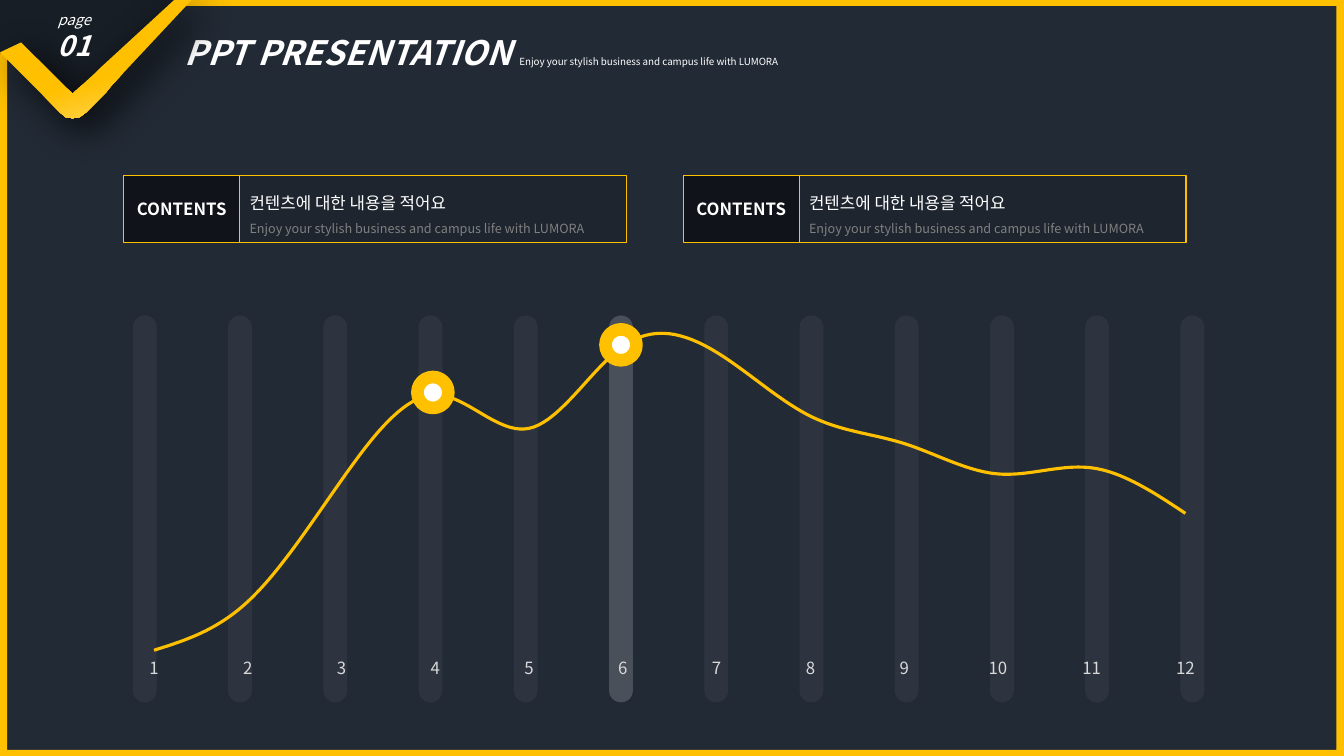
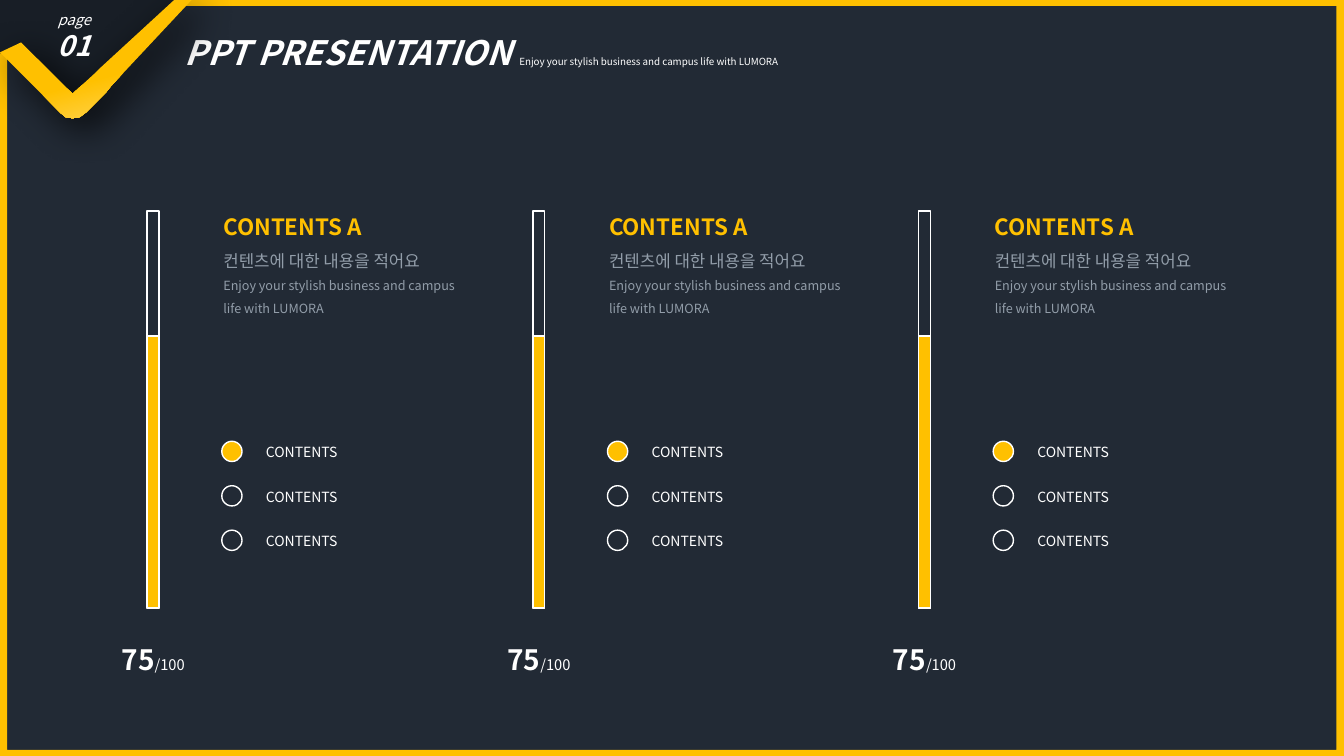
from dataclasses import dataclass

from lxml import etree
from pptx import Presentation
from pptx.chart.data import CategoryChartData
from pptx.dml.color import RGBColor
from pptx.enum.chart import XL_CHART_TYPE, XL_MARKER_STYLE, XL_TICK_MARK
from pptx.enum.shapes import MSO_SHAPE
from pptx.enum.text import MSO_ANCHOR, MSO_AUTO_SIZE, PP_ALIGN
from pptx.oxml import parse_xml
from pptx.oxml.ns import nsdecls, qn
from pptx.util import Cm, Pt

RECT, OVAL, PILL = MSO_SHAPE.RECTANGLE, MSO_SHAPE.OVAL, MSO_SHAPE.ROUNDED_RECTANGLE
LEFT, CENTER = PP_ALIGN.LEFT, PP_ALIGN.CENTER
MIDDLE, NO_FIT = MSO_ANCHOR.MIDDLE, MSO_AUTO_SIZE.NONE
LINE_CHART, NO_MARKER = XL_CHART_TYPE.LINE, XL_MARKER_STYLE.NONE
NO_TICK = XL_TICK_MARK.NONE


@dataclass(frozen=True)
class Theme:
    font: str = "Noto Sans CJK KR"
    back: str = "222A35"
    tab: str = "181E26"
    accent: str = "FFC000"
    light_accent: str = "FFD966"
    white: str = "FFFFFF"
    black: str = "000000"
    axis: str = "D9D9D9"
    muted: str = "808080"
    soft: str = "929DA9"
    title: float = 24
    number: float = 20
    heading: float = 16
    body: float = 12
    small: float = 10.5
    label: float = 10
    caption: float = 9
    tiny: float = 7


T = Theme()
TAGLINE = "Enjoy your stylish business and campus life with LUMORA"
KOREAN = "컨텐츠에 대한 내용을 적어요"
MONTHS = range(1, 13)
VALUES = (0, 16, 56, 84, 73, 100, 98, 77, 68, 58, 60, 45)
HIGHLIGHT = 6

# Outlines in cm
TAB = [(0, 0), (0, 1.37), (0.38, 1.24), (1.47, 2.51), (2.03, 2.59), (3.38, 1.14), (4.57, 0)]
FRAME = [(4.72, 0), (33.87, 0), (33.87, 19.05), (0, 19.05), (0, 1.35), (0.18, 1.3),
         (0.18, 18.9), (33.68, 18.9), (33.68, 0.15), (4.57, 0.15)]
RIBBON = [(4.83, 0), (2.79, 2.18), (2.69, 2.31), (2.16, 2.84), (2.01, 2.95), (1.83, 2.98),
          (1.65, 2.95), (1.52, 2.84), (0, 1.32), (0.53, 1.07), (1.5, 2.03), (1.83, 2.36),
          (2.41, 1.83), (2.54, 1.7), (4.39, 0)]


# Text
def style_font(font, size, color=T.white, **fmt):
    font.color.rgb = RGBColor.from_string(color)
    for name, value in {"name": T.font, "size": Pt(size), **fmt}.items():
        setattr(font, name, value)


def write(tf, paragraphs, align=LEFT, spacing=1.0, wrap=True):
    """Each paragraph is a list of (text, format) runs."""
    frame = {"word_wrap": wrap, "vertical_anchor": MIDDLE, "auto_size": NO_FIT}
    for name, value in frame.items():
        setattr(tf, name, value)
    for i, runs in enumerate(paragraphs):
        p = tf.add_paragraph() if i else tf.paragraphs[0]
        p.alignment, p.line_spacing = align, spacing
        for text, fmt in runs:
            r = p.add_run()
            r.text = text
            style_font(r.font, **fmt)
            latin = r.font._element.find(qn("a:latin"))
            latin.addnext(parse_xml(f'<a:ea {nsdecls("a")} typeface="{T.font}"/>'))


def add_text(slide, box, paragraphs, **layout):
    s = slide.shapes.add_textbox(*map(Cm, box))
    write(s.text_frame, paragraphs, **layout)


# Shapes
def paint(s, fill=None, alpha=None, line=None, width=1):
    s.shadow.inherit = False
    if fill:
        s.fill.solid()
        s.fill.fore_color.rgb = RGBColor.from_string(fill)
        if alpha is not None:
            color = s._element.spPr.find(qn("a:solidFill"))[0]
            etree.SubElement(color, qn("a:alpha")).set("val", str(alpha * 1000))
    else:
        s.fill.background()
    if line:
        s.line.color.rgb = RGBColor.from_string(line)
        s.line.width = Pt(width)
    else:
        s.line.fill.background()


def add_shape(slide, kind, box, **look):
    s = slide.shapes.add_shape(kind, *map(Cm, box))
    paint(s, **look)
    return s


def add_outline(slide, points, fill):
    start, *rest = [(Cm(x), Cm(y)) for x, y in points]
    builder = slide.shapes.build_freeform(*start)
    builder.add_line_segments(rest, close=True)
    s = builder.convert_to_shape()
    paint(s, fill)
    return s


# Shared frame and title
def add_ribbon(slide):
    s = add_outline(slide, RIBBON, T.accent)
    s.fill.gradient()
    s.fill.gradient_angle = 285
    stops = ((0.62, T.accent), (1, T.light_accent))
    for stop, (position, color) in zip(s.fill.gradient_stops, stops):
        stop.position = position
        stop.color.rgb = RGBColor.from_string(color)
    s._element.spPr.find(qn("a:effectLst")).append(parse_xml(
        f'<a:outerShdw {nsdecls("a")} blurRad="{Pt(29)}" dist="{Pt(11)}" '
        f'dir="{41 * 60000}" algn="tl" rotWithShape="0">'
        f'<a:srgbClr val="{T.black}"><a:alpha val="90000"/></a:srgbClr></a:outerShdw>'))


def add_page(prs):
    slide = prs.slides.add_slide(prs.slide_layouts[5])
    add_outline(slide, TAB, T.tab)
    add_outline(slide, FRAME, T.accent)
    add_ribbon(slide)
    title = slide.shapes.title
    title.left, title.top, title.width, title.height = map(Cm, (4.4, 0.66, 21.13, 1.28))
    write(title.text_frame, [[
        ("PPT PRESENTATION ", dict(size=T.title, bold=True, italic=True)),
        (TAGLINE, dict(size=T.tiny))]])
    add_text(slide, (0.69, 0.15, 2.36, 1.55), [
        [("page", dict(size=T.small, italic=True))],
        [("01", dict(size=T.number, bold=True, italic=True))]], align=CENTER)
    return slide


# Line chart slide
def add_line_chart(slide):
    data = CategoryChartData()
    data.categories = [str(month) for month in MONTHS]
    data.add_series("Series 1", VALUES)
    box = map(Cm, (2.11, 7.47, 29.54, 9.8))
    chart = slide.shapes.add_chart(LINE_CHART, *box, data).chart
    chart.has_legend = chart.has_title = False
    style_font(chart.font, T.label, T.axis)

    series = chart.plots[0].series[0]
    series.smooth = True
    series.marker.style = NO_MARKER
    series.format.line.color.rgb = RGBColor.from_string(T.accent)
    series.format.line.width = Pt(2.25)
    chart.plots[0].vary_by_categories = False

    months, scale = chart.category_axis, chart.value_axis
    months.major_tick_mark = months.minor_tick_mark = NO_TICK
    months.format.line.fill.background()
    style_font(months.tick_labels.font, T.body, T.axis)
    scale.minimum_scale, scale.maximum_scale = 0, 110
    scale.has_major_gridlines = scale.visible = False

    # Fixed plot area, so that the curve meets the two markers
    area = chart._chartSpace.chart.plotArea
    for old in area.findall(qn("c:layout")):
        area.remove(old)
    places = "".join(f'<c:{k} val="{v}"/>' for k, v in (
        ("layoutTarget", "inner"), ("xMode", "edge"), ("yMode", "edge"),
        ("x", 0.02), ("y", 0.05), ("w", 0.96), ("h", 0.86)))
    area.insert(0, parse_xml(f'<c:layout {nsdecls("c")}><c:manualLayout>{places}'
                             '</c:manualLayout></c:layout>'))


def add_content_box(slide, left):
    top, height, tag_width = 4.42, 1.7, 2.92
    edge = dict(line=T.accent, width=0.75)
    tag = add_shape(slide, RECT, (left, top, tag_width, height),
                    fill=T.black, alpha=50, **edge)
    write(tag.text_frame, [[("CONTENTS", dict(size=T.body, bold=True))]], align=CENTER)
    note = add_shape(slide, RECT, (left + tag_width, top, 9.75, height),
                     fill=T.black, alpha=11, **edge)
    write(note.text_frame, [[(KOREAN, dict(size=T.body))],
                            [(TAGLINE, dict(size=T.caption, color=T.muted))]], spacing=1.5)


def build_trend_slide(prs):
    slide = add_page(prs)
    for i, month in enumerate(MONTHS):
        bar = add_shape(slide, PILL, (3.35 + 2.4 * i, 7.95, 0.6, 9.75),
                        fill=T.white, alpha=18 if month == HIGHLIGHT else 5)
        bar.adjustments[0] = 0.5
    add_line_chart(slide)
    for left, top in ((15.26, 8.3), (10.52, 9.5)):
        add_shape(slide, OVAL, (left, top, 0.78, 0.78),
                  fill=T.white, line=T.accent, width=9)
    for left in (3.12, 17.22):
        add_content_box(slide, left)


# Gauge slide
def add_gauge(slide, left):
    bar_left, bar_width = left + 1.27, 0.3
    add_shape(slide, RECT, (bar_left, 5.32, bar_width, 10), line=T.white)
    add_shape(slide, RECT, (bar_left, 8.47, bar_width, 6.85), fill=T.accent, line=T.white)
    add_text(slide, (left, 16.05, 2.84, 1.12), [[
        ("75", dict(size=T.number, bold=True)), ("/100", dict(size=T.small))]],
        align=CENTER)
    for i in range(3):
        top = 11.12 + 1.12 * i
        add_shape(slide, OVAL, (left + 3.15, top, 0.51, 0.51),
                  fill=None if i else T.accent, line=T.white)
        add_text(slide, (left + 4.01, top - 0.07, 2.31, 0.69),
                 [[("CONTENTS", dict(size=T.label))]], align=CENTER, wrap=False)
    add_text(slide, (left + 2.94, 4.9, 6.76, 3.2), [
        [("CONTENTS A", dict(size=T.heading, color=T.accent, bold=True))],
        [(KOREAN, dict(size=T.body, color=T.soft))],
        [(TAGLINE, dict(size=T.caption, color=T.soft))]], spacing=1.5)


def build_gauge_slide(prs):
    slide = add_page(prs)
    for i in range(3):
        add_gauge(slide, 2.44 + 9.72 * i)


def main():
    prs = Presentation()
    prs.slide_width, prs.slide_height = Cm(33.87), Cm(19.05)
    back = prs.slide_master.background.fill
    back.solid()
    back.fore_color.rgb = RGBColor.from_string(T.back)
    build_trend_slide(prs)
    build_gauge_slide(prs)
    prs.save("out.pptx")


if __name__ == "__main__":
    main()
